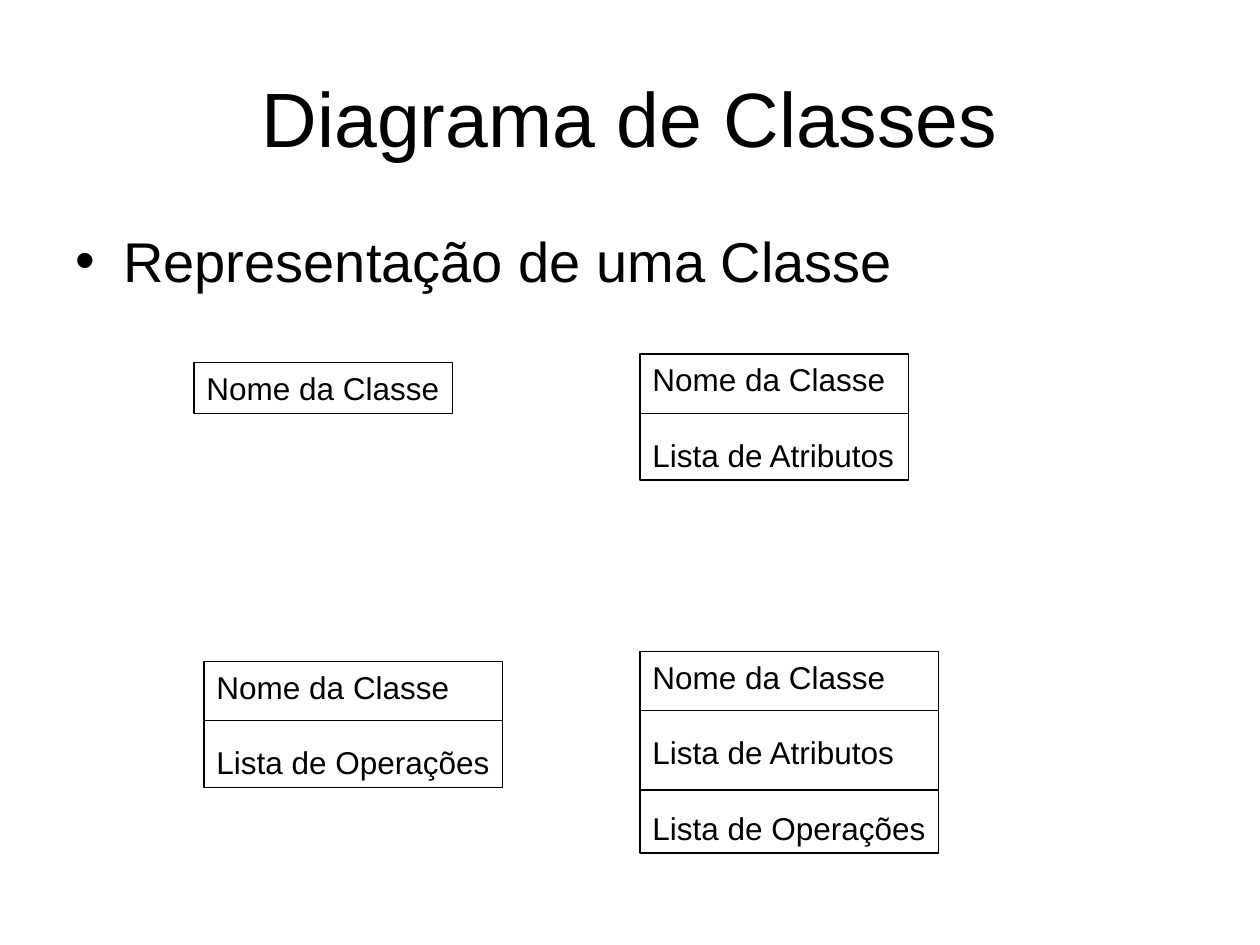
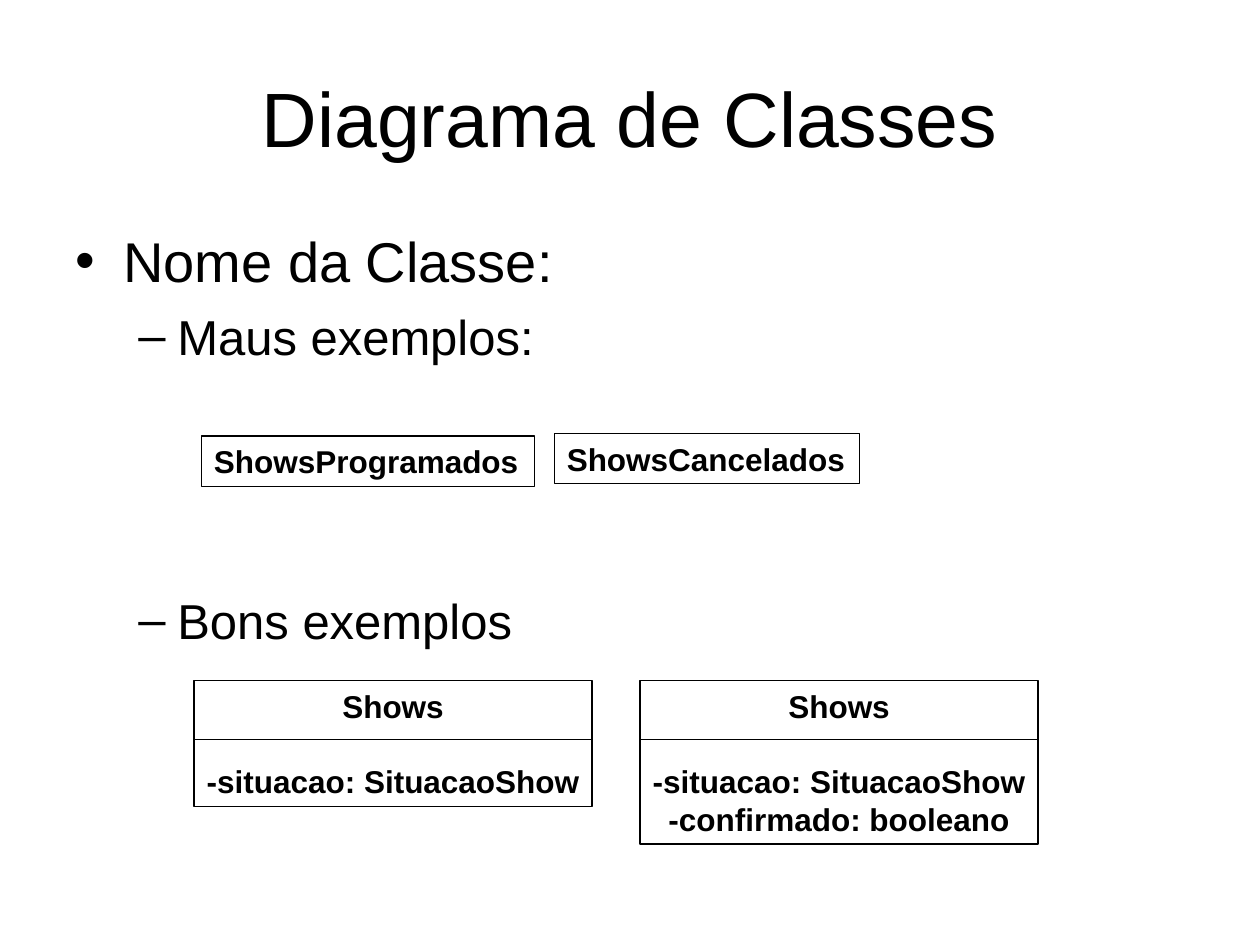
from lxml.etree import SubElement
from pptx import Presentation
from pptx.dml.color import RGBColor
from pptx.enum.shapes import MSO_CONNECTOR, MSO_SHAPE
from pptx.enum.text import MSO_ANCHOR, MSO_AUTO_SIZE, PP_ALIGN
from pptx.oxml.ns import qn
from pptx.util import Pt

BLACK = RGBColor(0, 0, 0)
WHITE = RGBColor(255, 255, 255)
FONT = "Arial"
LINE_HEIGHT = 1.2
PX = 9144  # 100 px to the inch

# Class boxes: text size in points, other lengths in px
CLASS_SIZE = 18
ROW = 30
PADDING = 10
FIRST_DIVIDER = 47
DIVIDER_STEP = 63

# Bullet levels: character, text size, left margin px, hanging indent px
BULLETS = [("•", 32, 38, 38), ("–", 28, 81, 31)]


def write(frame, text, size=CLASS_SIZE, bold=False, align=PP_ALIGN.LEFT,
          before=0, level=None):
    """Add a paragraph, using the first one while it is still empty."""
    paragraph = frame.paragraphs[0]
    if paragraph.runs:
        paragraph = frame.add_paragraph()
    if level is not None:
        character, size, margin, hanging = BULLETS[level]
        paragraph.level = level
        properties = paragraph._p.get_or_add_pPr()
        properties.set("marL", str(margin * PX))
        properties.set("indent", str(-hanging * PX))
        SubElement(properties, qn("a:buFont")).set("typeface", FONT)
        SubElement(properties, qn("a:buChar")).set("char", character)
    paragraph.alignment = align
    paragraph.line_spacing = Pt(size * LINE_HEIGHT)
    paragraph.space_before = Pt(before)
    run = paragraph.add_run()
    run.text = text
    run.font.name = FONT
    run.font.size = Pt(size)
    run.font.bold = bold
    run.font.color.rgb = BLACK


class DiagramDeck:
    def __init__(self):
        self.presentation = Presentation()
        self.presentation.slide_width = 1000 * PX
        self.presentation.slide_height = 750 * PX
        self.slide = None

    def add_slide(self, title):
        layout = self.presentation.slide_layouts[6]
        self.slide = self.presentation.slides.add_slide(layout)
        background = self.slide.background.fill
        background.solid()
        background.fore_color.rgb = WHITE
        frame = self.text_box(50, 30, 900, 125)
        frame.vertical_anchor = MSO_ANCHOR.MIDDLE
        write(frame, title, size=44, align=PP_ALIGN.CENTER)

    def text_box(self, left, top, width, height):
        shape = self.slide.shapes.add_textbox(
            left * PX, top * PX, width * PX, height * PX)
        shape.text_frame.word_wrap = True
        return shape.text_frame

    def body(self, *items):
        """Each item is a text, its level and the space before it."""
        frame = self.text_box(50, 175, 900, 495)
        for text, level, before in items:
            write(frame, text, level=level, before=before)

    def divider(self, left, top, width):
        line = self.slide.shapes.add_connector(
            MSO_CONNECTOR.STRAIGHT,
            left * PX, top * PX, (left + width) * PX, top * PX)
        line.line.color.rgb = BLACK
        line.line.width = Pt(0.75)
        SubElement(line._element.spPr, qn("a:effectLst"))

    def class_box(self, left, top, width, *sections, **text_format):
        """Draw a class whose sections, lists of lines, are one row apart."""
        rows = sum(map(len, sections)) + len(sections) - 1
        shape = self.slide.shapes.add_shape(
            MSO_SHAPE.RECTANGLE, left * PX, top * PX,
            width * PX, (PADDING + ROW * rows) * PX)
        shape.shadow.inherit = False
        shape.fill.background()
        shape.line.color.rgb = BLACK
        shape.line.width = Pt(0.75)
        frame = shape.text_frame
        frame.word_wrap = False
        frame.auto_size = MSO_AUTO_SIZE.SHAPE_TO_FIT_TEXT
        frame.vertical_anchor = MSO_ANCHOR.TOP
        for section_index, section in enumerate(sections):
            for line_index, text in enumerate(section):
                starts_section = section_index > 0 and line_index == 0
                gap = CLASS_SIZE * LINE_HEIGHT if starts_section else 0
                write(frame, text, before=gap, **text_format)
        for index in range(len(sections) - 1):
            self.divider(left, top + FIRST_DIVIDER + DIVIDER_STEP * index, width)


def main():
    deck = DiagramDeck()
    title = "Diagrama de Classes"
    name = ["Nome da Classe"]
    attributes = ["Lista de Atributos"]
    operations = ["Lista de Operações"]

    # Ways to draw a class
    deck.add_slide(title)
    deck.body(("Representação de uma Classe", 0, 0))
    deck.class_box(154, 288, 205, name)
    deck.class_box(508, 281, 213, name, attributes)
    deck.class_box(508, 517, 237, name, attributes, operations)
    deck.class_box(162, 525, 237, name, operations)

    # Bad and good class names
    deck.add_slide(title)
    deck.body(("Nome da Classe:", 0, 0),
              ("Maus exemplos:", 1, 7),
              ("Bons exemplos", 1, 129))
    deck.class_box(160, 346, 264, ["ShowsProgramados"], bold=True)
    deck.class_box(440, 344, 242, ["ShowsCancelados"], bold=True)
    status = "-situacao: SituacaoShow"
    centred = {"bold": True, "align": PP_ALIGN.CENTER}
    deck.class_box(154, 540, 316, ["Shows"], [status], **centred)
    deck.class_box(508, 540, 316, ["Shows"],
                   [status, "-confirmado: booleano"], **centred)

    deck.presentation.save("out.pptx")


if __name__ == "__main__":
    main()
